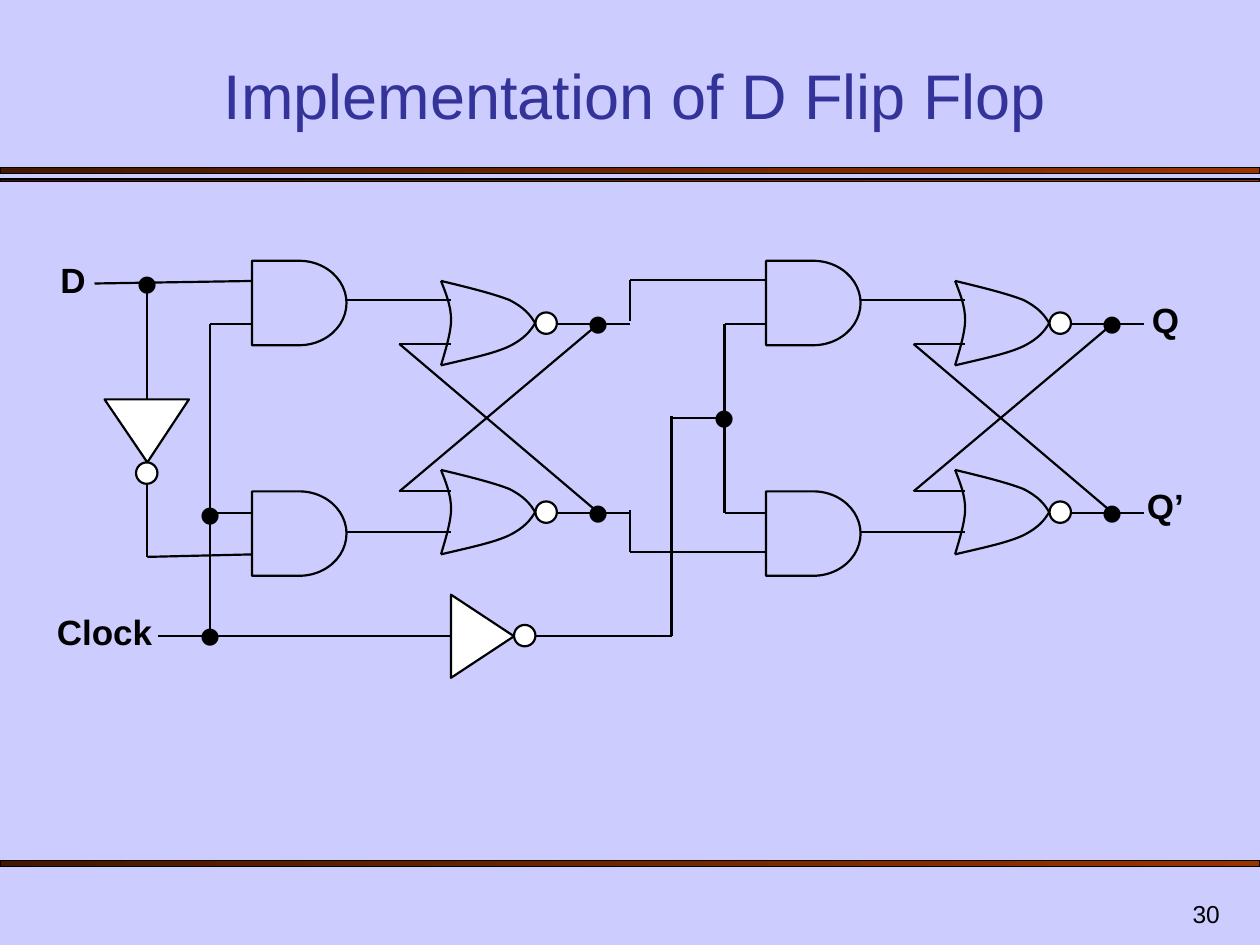
from lxml import etree
from pptx import Presentation
from pptx.dml.color import RGBColor
from pptx.enum.shapes import MSO_CONNECTOR, MSO_SHAPE
from pptx.enum.text import MSO_ANCHOR, PP_ALIGN
from pptx.oxml.ns import qn
from pptx.util import Inches, Pt

COLORS = {
    "background": "CCCCFF",
    "title": "333399",
    "ink": "000000",
    "bubble": "FFFFFF",
    "bar_light": "993300",
    "bar_dark": "461700",
}
COLORS = {name: RGBColor.from_string(value) for name, value in COLORS.items()}
STAGE_OFFSET = 4.08
ROW_OFFSET = 1.5

presentation = Presentation()
presentation.slide_width = Inches(10)
presentation.slide_height = Inches(7.5)
slide = presentation.slides.add_slide(presentation.slide_layouts[6])
slide.background.fill.solid()
slide.background.fill.fore_color.rgb = COLORS["background"]


def style_outline(shape, fill=None, width=1.25):
    shape.shadow.inherit = False
    shape.line.color.rgb = COLORS["ink"]
    shape.line.width = Pt(width)
    if fill:
        shape.fill.solid()
        shape.fill.fore_color.rgb = COLORS[fill]
    else:
        shape.fill.background()


def add_label(text, left, top, width, height, size, color="ink", bold=False,
              align=PP_ALIGN.CENTER, anchor=MSO_ANCHOR.TOP):
    box = slide.shapes.add_textbox(Inches(left), Inches(top), Inches(width), Inches(height))
    frame = box.text_frame
    frame.word_wrap = True
    frame.vertical_anchor = anchor
    paragraph = frame.paragraphs[0]
    paragraph.text = text
    paragraph.alignment = align
    paragraph.font.name = "Arial"
    paragraph.font.size = Pt(size)
    paragraph.font.bold = bold
    paragraph.font.color.rgb = COLORS[color]


for top, height in [(1.33, 0.05), (1.42, 0.02), (6.83, 0.05)]:
    bar = slide.shapes.add_shape(
        MSO_SHAPE.RECTANGLE, 0, Inches(top), Inches(10), Inches(height))
    style_outline(bar, width=0.75)
    bar.fill.gradient()
    bar.fill.gradient_angle = 180
    for stop, name in zip(bar.fill.gradient_stops, ["bar_light", "bar_dark"]):
        stop.color.rgb = COLORS[name]

add_label("Implementation of D Flip Flop", 0.58, 0.42, 8.92, 0.68, 36, "title",
          anchor=MSO_ANCHOR.BOTTOM)

nor_curves = [
    [(0, 0), (0.04, 0.1), (0.08, 0.2), (0.08, 0.31), (0.08, 0.42), (0.02, 0.6), (0, 0.67)],
    [(0, 0), (0.21, 0.05), (0.41, 0.1), (0.54, 0.15), (0.66, 0.21), (0.71, 0.27), (0.75, 0.34)],
    [(0, 0.67), (0.21, 0.62), (0.41, 0.58), (0.54, 0.52), (0.66, 0.46), (0.71, 0.4), (0.75, 0.33)],
]
stage_wires = [
    (4.42, 2.57, 5, 2.57), (4.42, 4.07, 5, 4.07),
    (3.17, 2.73, 3.58, 2.73), (2.75, 2.38, 3.58, 2.38),
    (3.17, 3.9, 3.58, 3.9), (2.75, 4.22, 3.58, 4.22),
    (3.17, 3.9, 4.75, 2.57), (3.17, 2.73, 4.75, 4.07),
]
wires = [
    (5, 2.22, 6.08, 2.22), (5.75, 2.57, 6.08, 2.57),
    (5.75, 4.07, 6.08, 4.07), (5, 4.38, 6.08, 4.38),
    (5.75, 2.57, 5.75, 4.07), (5.33, 3.32, 5.75, 3.32),
    (0.75, 2.25, 2, 2.23), (1.67, 2.57, 2, 2.57),
    (1.67, 4.07, 2, 4.07), (1.17, 4.42, 2, 4.4),
    (1.67, 2.57, 1.67, 5.05), (1.25, 5.05, 3.58, 5.05),
    (4.25, 5.05, 5.33, 5.05), (5.33, 3.3, 5.33, 5.05),
    (5, 4.05, 5, 4.38), (5, 2.22, 5, 2.55),
    (1.17, 3.83, 1.17, 4.42), (1.17, 2.25, 1.17, 3.17),
]
bubbles = [(4.08, 4.96), (1.08, 3.67)]
dots = [(5.5, 2.95), (1.42, 3.72), (1.42, 4.68), (0.92, 1.88)]

for stage in (STAGE_OFFSET, 0):
    for top in (2.07, 3.9):
        and_gate = slide.shapes.add_shape(
            MSO_SHAPE.FLOWCHART_DELAY,
            Inches(2 + stage), Inches(top), Inches(0.75), Inches(0.67))
        style_outline(and_gate)
    for row in (0, ROW_OFFSET):
        nor_gate = slide.shapes.add_group_shape()
        for curve in nor_curves:
            points = [(Inches(3.5 + stage + x), Inches(2.23 + row + y)) for x, y in curve]
            builder = nor_gate.shapes.build_freeform(*points[0])
            builder.add_line_segments(points[1:], close=False)
            edge = builder.convert_to_shape()
            style_outline(edge)
            segments = list(edge._element.spPr.iter(qn("a:lnTo")))
            for first in range(0, len(segments), 3):
                bezier = etree.Element(qn("a:cubicBezTo"))
                segments[first].addprevious(bezier)
                for segment in segments[first:first + 3]:
                    bezier.append(segment[0])
                    segment.getparent().remove(segment)
        bubbles.append((4.25 + stage, 2.48 + row))
        dots.append((4.5 + stage, 2.2 + row))
    wires += [(x1 + stage, y1, x2 + stage, y2) for x1, y1, x2, y2 in stage_wires]

for x1, y1, x2, y2 in wires:
    wire = slide.shapes.add_connector(
        MSO_CONNECTOR.STRAIGHT, Inches(x1), Inches(y1), Inches(x2), Inches(y2))
    wire.line.color.rgb = COLORS["ink"]
    wire.line.width = Pt(1.25)
    etree.SubElement(wire._element.spPr, qn("a:effectLst"))

inverters = [
    [(3.58, 4.72), (3.58, 5.38), (4.08, 5.05)],
    [(1.5, 3.17), (0.83, 3.17), (1.17, 3.67)],
]
for corners in inverters:
    corners = [(Inches(x), Inches(y)) for x, y in corners]
    builder = slide.shapes.build_freeform(*corners[0])
    builder.add_line_segments(corners[1:], close=True)
    style_outline(builder.convert_to_shape(), "bubble")

for left, top in bubbles:
    bubble = slide.shapes.add_shape(
        MSO_SHAPE.OVAL, Inches(left), Inches(top), Inches(0.17), Inches(0.17))
    style_outline(bubble, "bubble")

for left, top in dots:
    add_label("•", left, top, 0.5, 0.7, 36)

signals = [("D", 0.33, 2, 0.5), ("Clock", 0.33, 4.8, 1), ("Q", 9, 2.32, 0.5), ("Q’", 9, 3.8, 0.5)]
for text, left, top, width in signals:
    add_label(text, left, top, width, 0.44, 20, bold=True)

add_label("30", 7.7, 7, 2.08, 0.42, 14, align=PP_ALIGN.RIGHT, anchor=MSO_ANCHOR.BOTTOM)

presentation.save("out.pptx")
